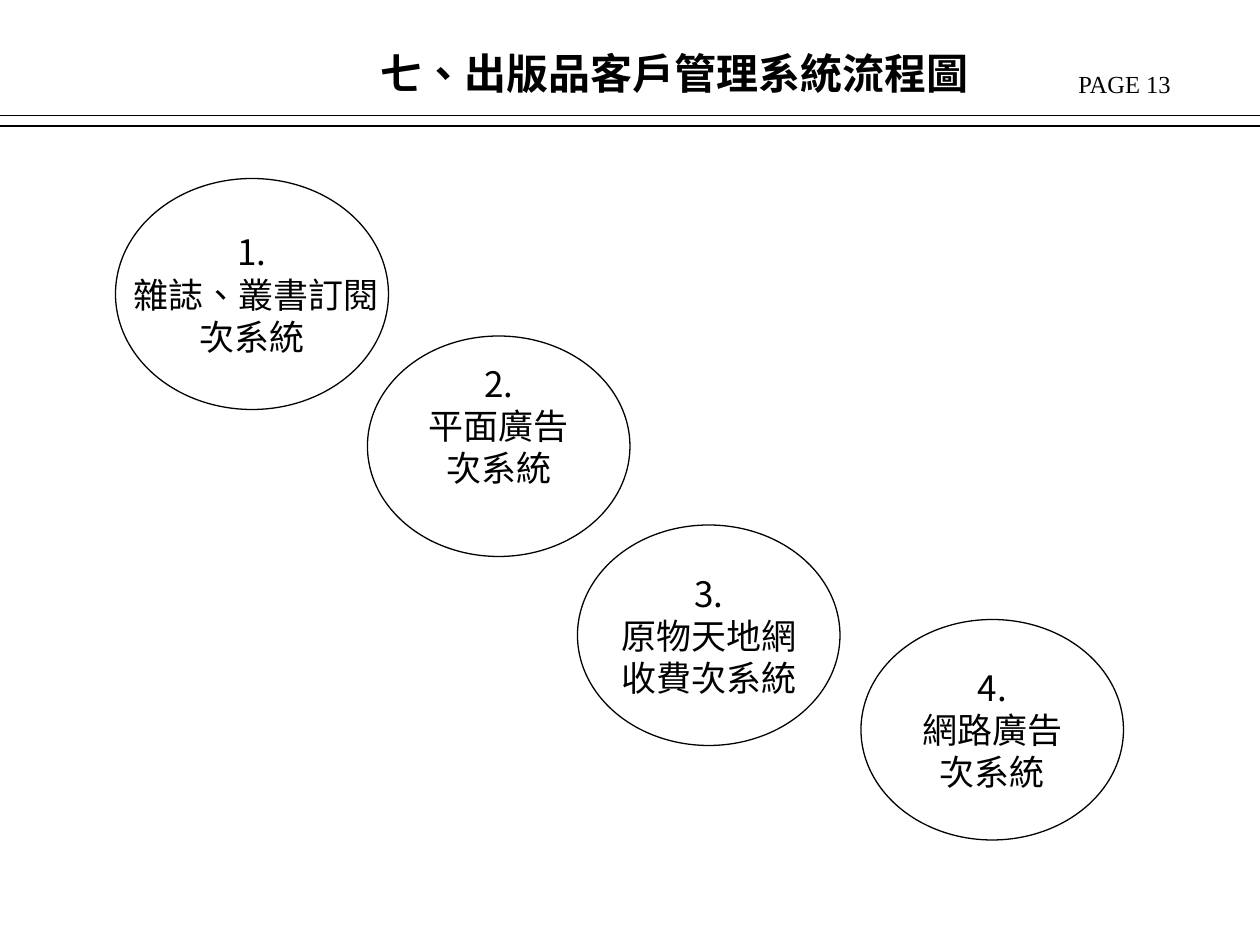
from lxml import etree
from pptx import Presentation
from pptx import util as u
from pptx.dml.color import RGBColor
from pptx.enum import lang, shapes, text
from pptx.oxml.ns import qn

UNIT = u.Inches(1) / 12  # the layout grid has twelve steps to the inch
BLACK = "000000"
SERIF, CJK = "Times New Roman", "Noto Sans CJK SC"
LINE_HEIGHT = u.Inches(0.33)

# column, row, columns wide, rows high, lines of text, lines the text is raised over
SUBSYSTEMS = [
    (82, 59, 25, 21, ["4.", "網路廣告", "次系統"], 0),
    (11, 17, 26, 22, ["1.", " 雜誌、叢書訂閱", "次系統"], 0),
    (35, 32, 25, 21, ["2.", "平面廣告", "次系統"], 1),
    (55, 50, 25, 21, ["3.", "原物天地網", "收費次系統"], 0),
]


def grid(*steps):
    return [u.Emu(round(step * UNIT)) for step in steps]


def color(hex_code):
    return RGBColor.from_string(hex_code)


def write(frame, lines, size, face, align, bold=False):
    frame.text = "\n".join(lines)
    frame.auto_size = text.MSO_AUTO_SIZE.NONE
    for paragraph in frame.paragraphs:
        paragraph.alignment = align
        for run in paragraph.runs:
            run.font.size = u.Pt(size)
            run.font.bold = bold
            run.font.color.rgb = color(BLACK)
            run.font.language_id = lang.MSO_LANGUAGE_ID.TRADITIONAL_CHINESE
            run.font.name = face
            east_asian = etree.Element(qn("a:ea"), typeface=CJK)
            run.font._element.find(qn("a:latin")).addnext(east_asian)


def add_header(slide, left, top, width, height):
    """Title, page label and the double rule along the bottom of the box."""
    title = slide.shapes.title
    title.left, title.top = left + round(width * 0.292), top + u.Inches(0.33)
    title.width, title.height = round(width * 0.486), u.Inches(0.5)
    title.text_frame.vertical_anchor = text.MSO_ANCHOR.TOP
    title.text_frame.margin_right = 0
    title.text_frame.word_wrap = False
    write(title.text_frame, ["七、出版品客戶管理系統流程圖"], 24, SERIF,
          text.PP_ALIGN.LEFT, bold=True)

    page = slide.shapes.add_textbox(left + round(width * 0.846), top + u.Inches(0.5),
                                    round(width * 0.154), u.Inches(0.34))
    page.text_frame.word_wrap = True
    write(page.text_frame, ["PAGE 13"], 14, SERIF, text.PP_ALIGN.LEFT)

    for y in (top + height - round(UNIT), top + height):
        rule = slide.shapes.add_connector(shapes.MSO_CONNECTOR.STRAIGHT,
                                          left, y, left + width, y)
        rule.line.color.rgb = color(BLACK)
        rule.line.width = u.Pt(0.75)
        etree.SubElement(rule._element.spPr, qn("a:effectLst"))


def add_subsystem(slide, box, lines, raised):
    oval = slide.shapes.add_shape(shapes.MSO_SHAPE.OVAL, *box)
    oval.shadow.inherit = False
    oval.fill.background()
    oval.line.color.rgb = color(BLACK)
    oval.line.width = u.Pt(0.75)
    frame = oval.text_frame
    frame.word_wrap = False
    frame.vertical_anchor = text.MSO_ANCHOR.MIDDLE
    frame.margin_bottom = u.Inches(0.05) + raised * LINE_HEIGHT
    write(frame, lines, 20, CJK, text.PP_ALIGN.CENTER)


def main():
    deck = Presentation()
    deck.slide_width, deck.slide_height = grid(120, 90)
    slide = deck.slides.add_slide(deck.slide_layouts.get_by_name("Title Only"))
    add_header(slide, *grid(0, 0, 120, 12))
    for *cell, lines, raised in SUBSYSTEMS:
        add_subsystem(slide, grid(*cell), lines, raised)
    deck.save("out.pptx")


if __name__ == "__main__":
    main()
